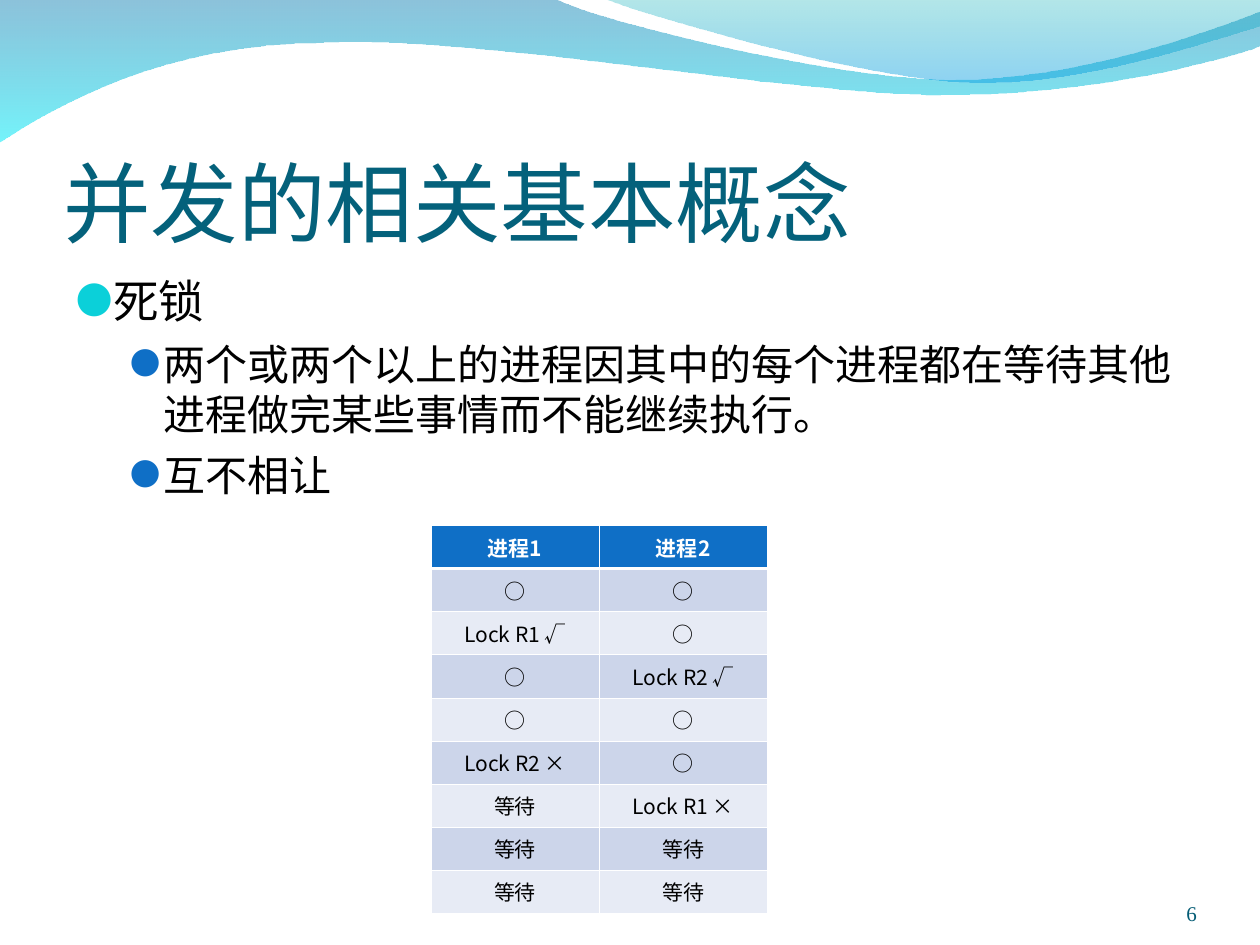
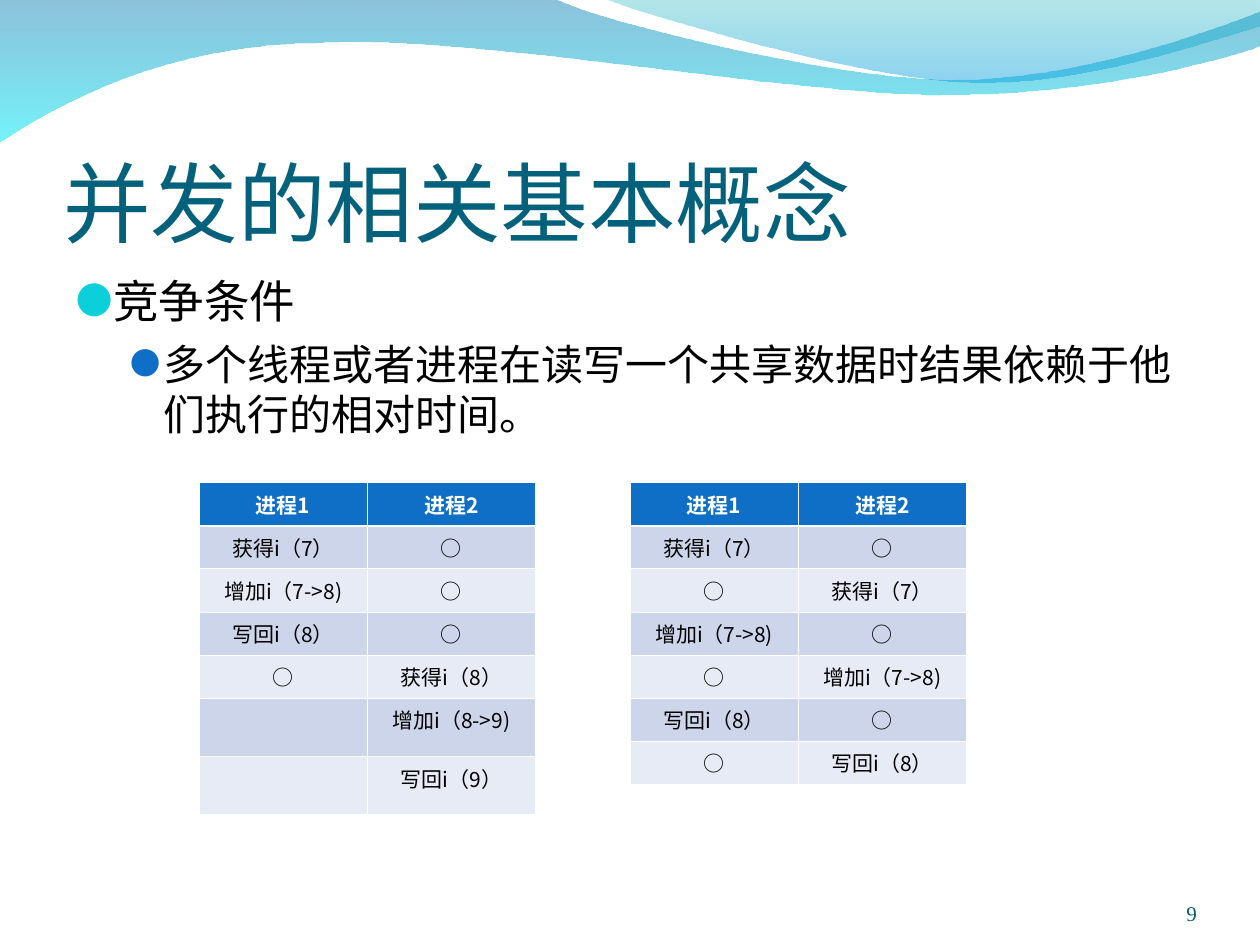
from lxml.etree import SubElement
from pptx import Presentation
from pptx.dml.color import RGBColor
from pptx.enum.text import MSO_ANCHOR, MSO_AUTO_SIZE, PP_ALIGN
from pptx.oxml.ns import qn
from pptx.util import Inches, Pt

# Colours
WHITE = RGBColor(0xFF, 0xFF, 0xFF)
BLACK = RGBColor(0x00, 0x00, 0x00)
TITLE_TEAL = RGBColor(0x04, 0x61, 0x7B)
NUMBER_TEAL = RGBColor(0x04, 0x5C, 0x75)
BLUE = RGBColor(0x0F, 0x6F, 0xC6)
CYAN = RGBColor(0x0B, 0xD0, 0xD9)
BAND_DARK = RGBColor(0xCC, 0xD5, 0xEA)
BAND_LIGHT = RGBColor(0xE7, 0xEB, 0xF5)

# Fonts
TITLE_FONT = "Calibri"
BODY_FONT = "Vollkorn"
NUMBER_FONT = "Times New Roman"
CHINESE_FONT = "Noto Sans CJK SC"

# Bullet levels: left margin, hanging indent, space before, colour, bullet size, text size
LEVELS = [
    (0.3, 0.3, 6.5, CYAN, 95, 26),
    (0.7, 0.27, 6, BLUE, 85, 24),
]

# Waves: outline (one pair is a corner, three pairs are a curve) and
# gradient stops (colour, opacity in percent)
WAVES = [
    (
        [
            [(0, -0.01)],
            [(4.4, -0.01)],
            [(4.76, 0.17), (6.64, 0.63), (7.58, 0.63)],
            [(8.53, 0.63), (9.58, 0.26), (10, 0.09)],
            [(10.01, 0.36)],
            [(9.83, 0.44), (8.7, 0.76), (7.46, 0.75)],
            [(6.22, 0.75), (3.82, 0.28), (2.57, 0.34)],
            [(1.29, 0.35), (0.46, 0.83), (-0.01, 1.13)],
            [(0, -0.01)],
        ],
        [(RGBColor(0x00, 0x79, 0xAF), 45), (RGBColor(0x00, 0xEB, 0xF8), 55)],
    ),
    (
        [
            [(4.79, -0.01)],
            [(5.09, 0.11), (6.82, 0.62), (7.69, 0.65)],
            [(8.56, 0.69), (9.61, 0.32), (10, 0.21)],
            [(10, 0)],
            [(4.79, -0.01)],
        ],
        [(RGBColor(0x00, 0xAD, 0xB6), 30), (RGBColor(0x00, 0x9B, 0xE5), 45)],
    ),
]

# Tables
TABLE_WIDTH = 2.67
ROW_HEIGHT = 0.3
HEADER = ("进程1", "进程2")
IDLE = "○"
WAIT = "等待"

DEADLOCK_ROWS = [
    HEADER,
    (IDLE, IDLE),
    ("Lock R1 √", IDLE),
    (IDLE, "Lock R2 √"),
    (IDLE, IDLE),
    ("Lock R2 ×", IDLE),
    (WAIT, "Lock R1 ×"),
    (WAIT, WAIT),
    (WAIT, WAIT),
]
SEQUENTIAL_ROWS = [
    HEADER,
    ("获得i（7）", IDLE),
    ("增加i（7->8)", IDLE),
    ("写回i（8）", IDLE),
    (IDLE, "获得i（8）"),
    ("", "增加i（8->9)"),
    ("", "写回i（9）"),
]
INTERLEAVED_ROWS = [
    HEADER,
    ("获得i（7）", IDLE),
    (IDLE, "获得i（7）"),
    ("增加i（7->8)", IDLE),
    (IDLE, "增加i（7->8)"),
    ("写回i（8）", IDLE),
    (IDLE, "写回i（8）"),
]


def add_run(paragraph, text, font_name, size, color, bold=False):
    run = paragraph.add_run()
    run.text = text
    font = run.font
    font.name, font.size, font.bold = font_name, Pt(size), bold
    font.color.rgb = color
    SubElement(font._element, qn("a:ea"), typeface=CHINESE_FONT)


def bend_segments(shape, outline):
    """Join the three lines of each curve segment into one cubic curve."""
    lines = iter(list(shape.element.iter(qn("a:lnTo"))))
    for segment in outline[1:]:
        parts = [next(lines) for _ in segment]
        if len(parts) == 3:
            curve = SubElement(parts[0].getparent(), qn("a:cubicBezTo"))
            parts[0].addprevious(curve)
            for part in parts:
                curve.append(part[0])
                part.getparent().remove(part)


def add_wave(slide, outline, stops, depth):
    points = [(Inches(x), Inches(y)) for segment in outline for x, y in segment]
    builder = slide.shapes.build_freeform(*points[0])
    builder.add_line_segments(points[1:], close=True)
    wave = builder.convert_to_shape()
    bend_segments(wave, outline)
    wave.shadow.inherit = False
    wave.line.fill.background()
    wave.fill.gradient()
    wave.fill.gradient_angle = 270
    for stop, (color, _) in zip(wave.fill.gradient_stops, stops):
        stop.color.rgb = color
    for element, (_, opacity) in zip(wave.element.iter(qn("a:srgbClr")), stops):
        SubElement(element, qn("a:alpha"), val=str(opacity * 1000))
    # Waves lie behind the title
    slide.shapes.element.insert(2 + depth, wave.element)


def set_frame(frame, margins, anchor):
    frame.word_wrap = True
    frame.auto_size = MSO_AUTO_SIZE.NONE
    frame.vertical_anchor = anchor
    (frame.margin_left, frame.margin_top,
     frame.margin_right, frame.margin_bottom) = map(Inches, margins)


def set_title(slide, text):
    title = slide.shapes.title
    title.left, title.top = Inches(0.5), Inches(0.77)
    title.width, title.height = Inches(9), Inches(1.25)
    set_frame(title.text_frame, (0, 0.05, 0, 0), MSO_ANCHOR.BOTTOM)
    paragraph = title.text_frame.paragraphs[0]
    paragraph.alignment = PP_ALIGN.LEFT
    add_run(paragraph, text, TITLE_FONT, 50, TITLE_TEAL)


def add_bullets(slide, items):
    box = slide.shapes.add_textbox(Inches(0.5), Inches(2.12), Inches(9), Inches(4.8))
    frame = box.text_frame
    set_frame(frame, (0.1, 0.05, 0.1, 0.05), MSO_ANCHOR.TOP)
    for index, (level, text) in enumerate(items):
        margin, hanging, space, color, bullet_size, size = LEVELS[level]
        paragraph = frame.add_paragraph() if index else frame.paragraphs[0]
        paragraph.level = level
        if index:
            paragraph.space_before = Pt(space)
        properties = paragraph._p.get_or_add_pPr()
        properties.set("marL", str(Inches(margin)))
        properties.set("indent", str(-Inches(hanging)))
        bullet_color = SubElement(properties, qn("a:buClr"))
        SubElement(bullet_color, qn("a:srgbClr"), val=str(color))
        SubElement(properties, qn("a:buSzPct"), val=str(bullet_size * 1000))
        SubElement(properties, qn("a:buFont"), typeface=BODY_FONT)
        SubElement(properties, qn("a:buChar"), char="●")
        add_run(paragraph, text, BODY_FONT, size, BLACK)


def add_slide_number(slide, number):
    box = slide.shapes.add_textbox(Inches(8.67), Inches(6.95), Inches(0.83), Inches(0.4))
    set_frame(box.text_frame, (0, 0, 0, 0), MSO_ANCHOR.BOTTOM)
    paragraph = box.text_frame.paragraphs[0]
    paragraph.alignment = PP_ALIGN.RIGHT
    add_run(paragraph, str(number), NUMBER_FONT, 12, NUMBER_TEAL)


def set_borders(cell, top, bottom):
    properties = cell._tc.get_or_add_tcPr()
    for side, width in (("L", 0.45), ("R", 0.45), ("T", top), ("B", bottom)):
        line = SubElement(properties, qn("a:ln" + side), w=str(Pt(width)))
        fill = SubElement(line, qn("a:solidFill"))
        SubElement(fill, qn("a:srgbClr"), val=str(WHITE))


def fill_cell_text(cell, text, is_header):
    paragraph = cell.text_frame.paragraphs[0]
    if text:
        paragraph.alignment = PP_ALIGN.CENTER
        color = WHITE if is_header else BLACK
        add_run(paragraph, text, CHINESE_FONT, 12, color, is_header)
    else:
        # An empty cell keeps a larger line height
        ending = SubElement(paragraph._p, qn("a:endParaRPr"), sz="1800")
        for script in ("a:latin", "a:ea"):
            SubElement(ending, qn(script), typeface=CHINESE_FONT)


def add_process_table(slide, left, top, rows):
    columns = len(HEADER)
    table = slide.shapes.add_table(
        len(rows), columns, Inches(left), Inches(top),
        Inches(TABLE_WIDTH), Inches(ROW_HEIGHT * len(rows)),
    ).table
    for column in table.columns:
        column.width = Inches(TABLE_WIDTH / columns)
    for row_index, row in enumerate(rows):
        table.rows[row_index].height = Inches(ROW_HEIGHT)
        is_header = row_index == 0
        band = BAND_DARK if row_index % 2 else BAND_LIGHT
        for column_index, text in enumerate(row):
            cell = table.cell(row_index, column_index)
            set_borders(cell, 1.47 if row_index == 1 else 0.45, 1.47 if is_header else 0.45)
            cell.fill.solid()
            cell.fill.fore_color.rgb = BLUE if is_header else band
            fill_cell_text(cell, text, is_header)


def add_concept_slide(presentation, number, bullets, tables):
    slide = presentation.slides.add_slide(presentation.slide_layouts[5])
    for depth, (outline, stops) in enumerate(WAVES):
        add_wave(slide, outline, stops, depth)
    set_title(slide, "并发的相关基本概念")
    add_bullets(slide, bullets)
    add_slide_number(slide, number)
    for left, top, rows in tables:
        add_process_table(slide, left, top, rows)


def main():
    presentation = Presentation()
    presentation.slide_width, presentation.slide_height = Inches(10), Inches(7.5)

    # Deadlock
    add_concept_slide(
        presentation, 6,
        [
            (0, "死锁"),
            (1, "两个或两个以上的进程因其中的每个进程都在等待其他进程做完某些事情而不能继续执行。"),
            (1, "互不相让"),
        ],
        [(3.42, 4.17, DEADLOCK_ROWS)],
    )

    # Race condition
    add_concept_slide(
        presentation, 9,
        [
            (0, "竞争条件"),
            (1, "多个线程或者进程在读写一个共享数据时结果依赖于他们执行的相对时间。"),
        ],
        [(1.58, 3.83, SEQUENTIAL_ROWS), (5, 3.83, INTERLEAVED_ROWS)],
    )

    presentation.save("out.pptx")


if __name__ == "__main__":
    main()
